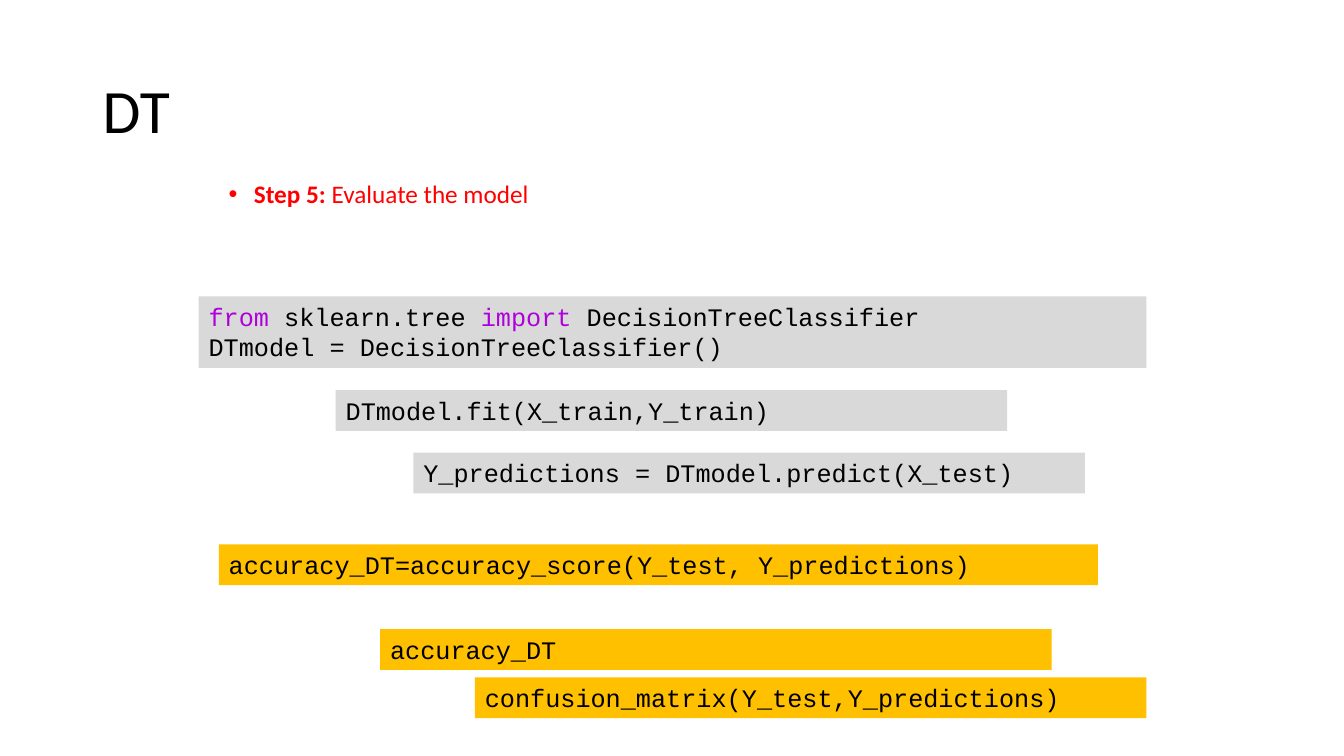
"""Build the slide that evaluates a decision tree model."""
import pptx
import pptx.dml.color
import pptx.enum.shapes
import pptx.enum.text
import pptx.util
from lxml import etree
from pptx.util import Inches

COLOURS = {"text": "000000", "step": "FF0000", "keyword": "AF00DB",
           "model": "D9D9D9", "score": "FFC000"}


def rgb(name):
    return pptx.dml.color.RGBColor.from_string(COLOURS[name])


def add_span(para, text, size, font, colour, bold=False):
    span = para.add_run()
    span.text = text
    span.font.size = pptx.util.Pt(size)
    span.font.name = font
    span.font.bold = bold
    span.font.color.rgb = rgb(colour)


deck = pptx.Presentation()
deck.slide_width = Inches(13.33)
deck.slide_height = Inches(7.5)
page = deck.slides.add_slide(deck.slide_layouts[6])

title = page.shapes.add_textbox(Inches(0.92), Inches(0.4), Inches(11.5), Inches(1.45))
title.text_frame.word_wrap = True
title.text_frame.vertical_anchor = pptx.enum.text.MSO_ANCHOR.MIDDLE
para = title.text_frame.paragraphs[0]
para.line_spacing = 0.9
add_span(para, "DT", 44, "Calibri", "text")

step = page.shapes.add_textbox(Inches(2.17), Inches(1.75), Inches(9), Inches(0.42))
step.text_frame.word_wrap = True
para = step.text_frame.paragraphs[0]
para.line_spacing = 0.9
properties = para._p.get_or_add_pPr()
properties.set("marL", str(Inches(0.25)))
properties.set("indent", str(Inches(-0.25)))
namespace = "{http://schemas.openxmlformats.org/drawingml/2006/main}"
etree.SubElement(properties, namespace + "buFont", typeface="Arial")
etree.SubElement(properties, namespace + "buChar", char="•")
add_span(para, "Step 5:", 18, "Calibri", "step", bold=True)
add_span(para, " Evaluate the model", 18, "Calibri", "step")

code_boxes = [
    (1.97, 2.94, 9.4, "model", ["from sklearn.tree import DecisionTreeClassifier",
                                "DTmodel = DecisionTreeClassifier()"]),
    (2.17, 5.4, 8.72, "score", ["accuracy_DT=accuracy_score(Y_test, Y_predictions)"]),
    (3.33, 3.87, 6.66, "model", ["DTmodel.fit(X_train,Y_train)"]),
    (4.1, 4.49, 6.66, "model", ["Y_predictions = DTmodel.predict(X_test)"]),
    (3.77, 6.24, 6.66, "score", ["accuracy_DT"]),
    (4.71, 6.72, 6.66, "score", ["confusion_matrix(Y_test,Y_predictions)"]),
]
for left, top, width, fill, lines in code_boxes:
    height = 0.1 + 0.305 * len(lines)
    box = page.shapes.add_shape(pptx.enum.shapes.MSO_SHAPE.RECTANGLE, Inches(left),
                                Inches(top), Inches(width), Inches(height))
    box.shadow.inherit = False
    box.fill.solid()
    box.fill.fore_color.rgb = rgb(fill)
    box.line.fill.background()
    frame = box.text_frame
    frame.word_wrap = True
    frame.vertical_anchor = pptx.enum.text.MSO_ANCHOR.TOP
    frame.auto_size = pptx.enum.text.MSO_AUTO_SIZE.SHAPE_TO_FIT_TEXT
    for number, line in enumerate(lines):
        para = frame.add_paragraph() if number else frame.paragraphs[0]
        para.alignment = pptx.enum.text.PP_ALIGN.LEFT
        words = line.split(" ")
        for position, word in enumerate(words):
            gap = " " if position < len(words) - 1 else ""
            colour = "keyword" if word in ("from", "import") else "text"
            add_span(para, word + gap, 18, "Courier New", colour)

deck.save("out.pptx")
